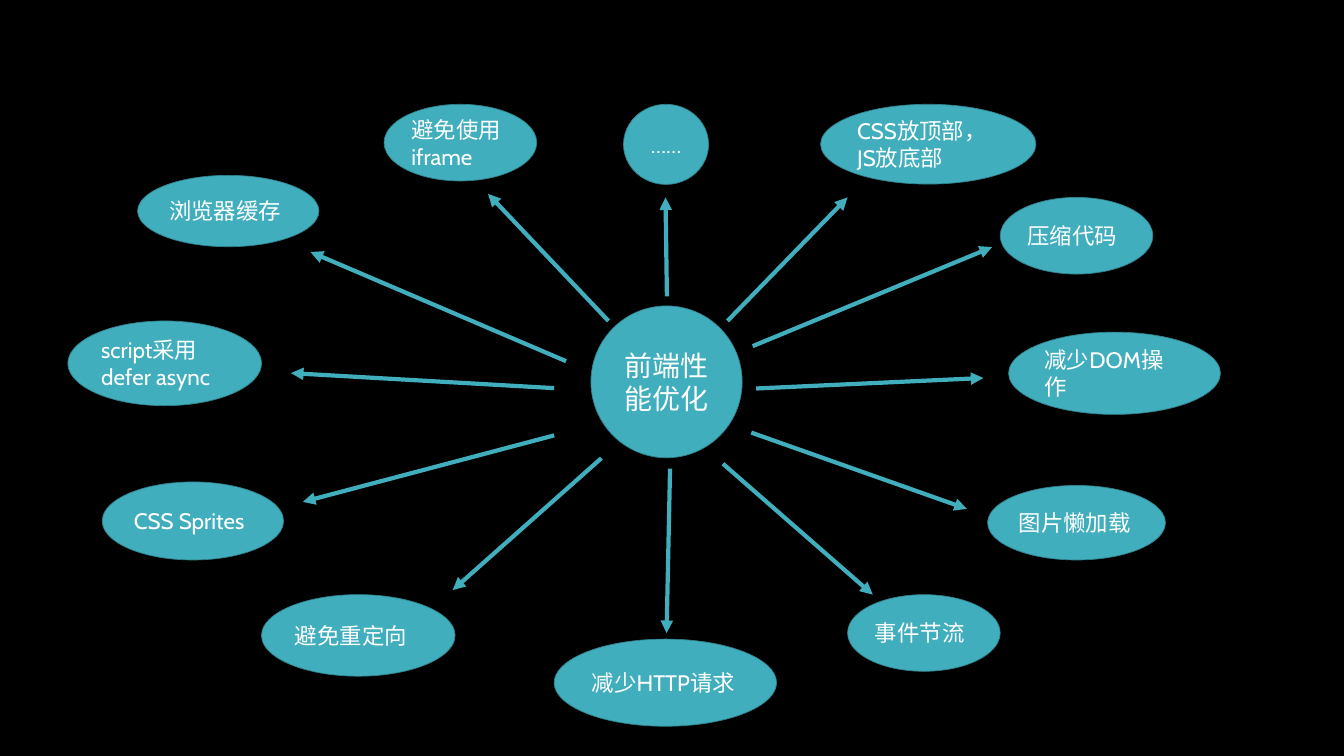
from lxml import etree
from pptx import Presentation
from pptx.dml.color import RGBColor
from pptx.enum import shapes, text
from pptx.oxml.ns import qn
from pptx.util import Pt

TEAL, EDGE, WHITE, BLACK = "41AEBD", "30818C", "FFFFFF", "000000"
LATIN, HAN = "Cabin", "Noto Sans CJK SC"
LEFT, MID = text.PP_ALIGN.LEFT, text.PP_ALIGN.CENTER

HUB = (844, 437, 216, 217)
TIPS = [
    ("CSS放顶部，JS放底部", (1172, 149, 307.5, 114), (1039, 458.5, 1210.5, 282)),
    ("压缩代码", (1428.5, 282, 218, 109.5), (1075, 494.5, 1417, 353)),
    ("减少DOM操作", (1440.5, 474.5, 302.5, 117.5), (1080, 555, 1404.5, 540)),
    ("图片懒加载", (1410.5, 693.5, 254, 106.5), (1073, 618, 1381, 727)),
    ("事件节流", (1210.5, 849.5, 218, 109.5), (1032.5, 662.5, 1246.5, 849.5)),
    ("减少HTTP请求", (791.5, 913, 317.5, 124.5), (957, 669.5, 952, 904.5)),
    ("避免重定向", (373.5, 849.5, 276.5, 116.5), (859, 654.5, 646.5, 843)),
    ("CSS Sprites", (146, 688.5, 259, 111.5), (791.5, 622, 432.5, 717)),
    ("script采用defer async", (97, 458.5, 276.5, 121), (791.5, 554.5, 415.5, 533)),
    ("浏览器缓存", (196.5, 250.5, 259, 102), (808.5, 516, 443.5, 360)),
    ("避免使用iframe", (548.5, 149, 218, 109.5), (869, 458.5, 697, 277)),
]
MORE = ("……", (890.5, 149, 121.5, 114.5), (952.5, 423.5, 950.5, 282))


def paint(fmt, color):
    fmt.solid()
    fmt.fore_color.rgb = RGBColor.from_string(color)


def bubble(slide, words, box, size=32, face=LATIN, align=LEFT):
    oval = slide.shapes.add_shape(shapes.MSO_SHAPE.OVAL, *map(Pt, box))
    oval.shadow.inherit = False
    paint(oval.fill, TEAL)
    paint(oval.line.fill, EDGE)
    oval.line.width = Pt(1)
    frame = oval.text_frame
    frame.word_wrap = True
    frame.vertical_anchor = text.MSO_ANCHOR.MIDDLE
    para = frame.paragraphs[0]
    para.text = words
    para.alignment = align
    font = para.font
    font.size = Pt(size)
    font.name = face
    paint(font.fill, WHITE)
    latin = para._p.find(".//" + qn("a:latin"))
    latin.addnext(etree.Element(qn("a:ea"), typeface=HAN))


def arrow(slide, ends):
    line = slide.shapes.add_connector(
        shapes.MSO_CONNECTOR.STRAIGHT, *map(Pt, ends))
    paint(line.line.fill, TEAL)
    line.line.width = Pt(6)
    stroke = line.line._get_or_add_ln()
    etree.SubElement(stroke, qn("a:tailEnd"), type="triangle")
    etree.SubElement(line._element.spPr, qn("a:effectLst"))


def main():
    deck = Presentation()
    deck.slide_width, deck.slide_height = Pt(1919.5), Pt(1080)
    slide = deck.slides.add_slide(deck.slide_layouts[6])
    paint(slide.background.fill, BLACK)
    bubble(slide, "前端性能优化", HUB, 40, HAN, MID)
    for words, box, ends in TIPS:
        bubble(slide, words, box)
        arrow(slide, ends)
    words, box, ends = MORE
    bubble(slide, words, box, align=MID)
    arrow(slide, ends)
    deck.save("out.pptx")


if __name__ == "__main__":
    main()
